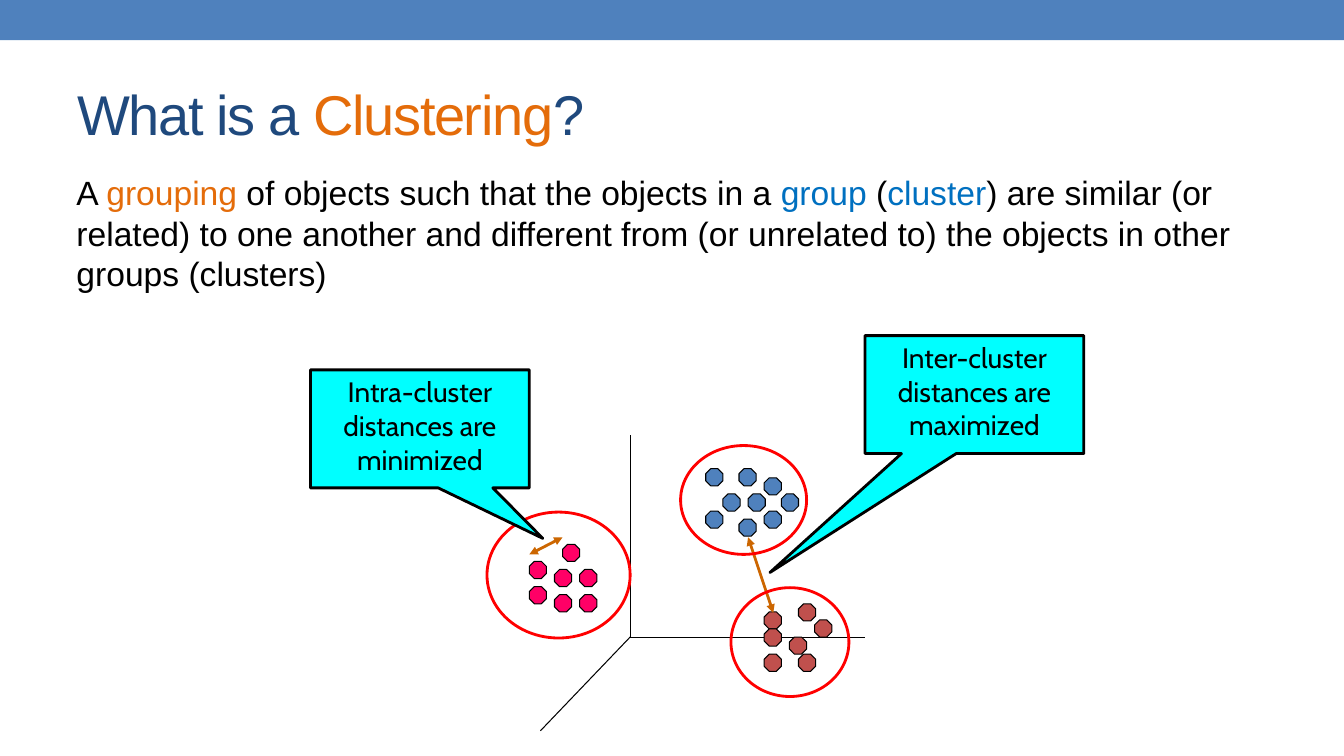
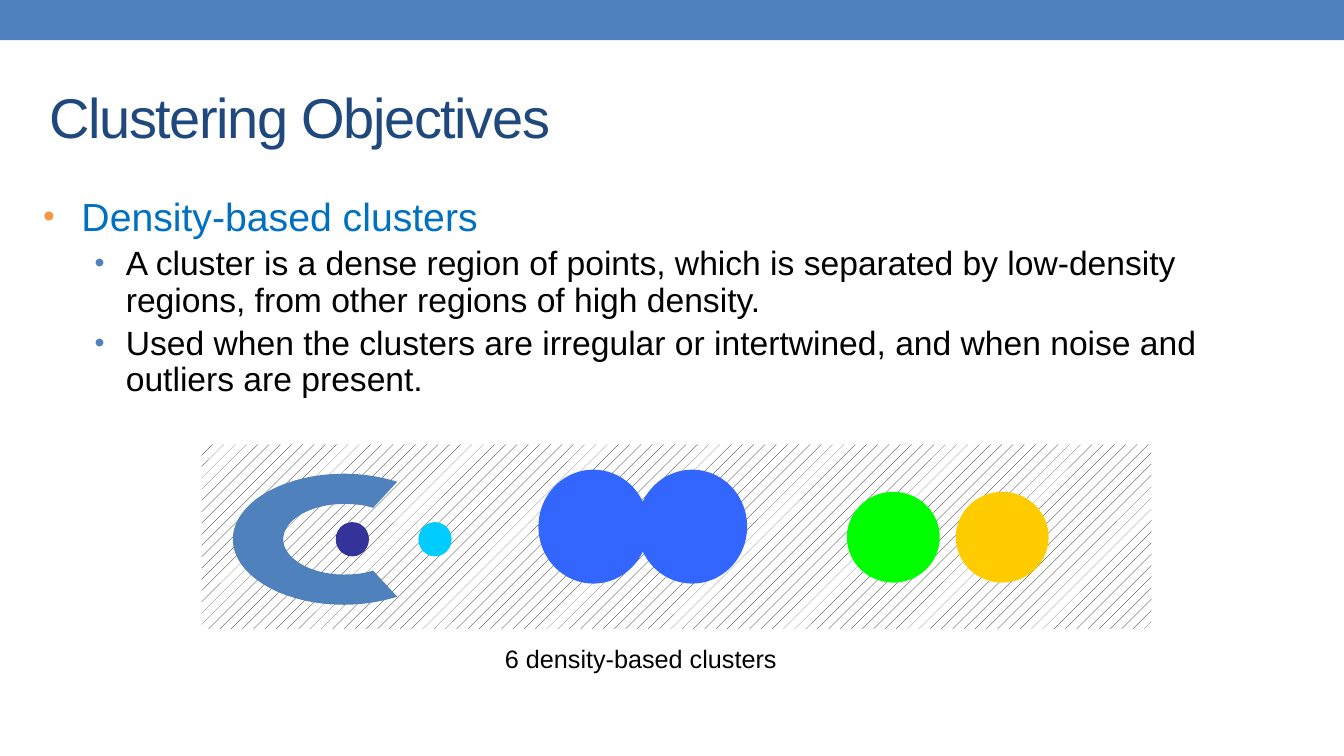
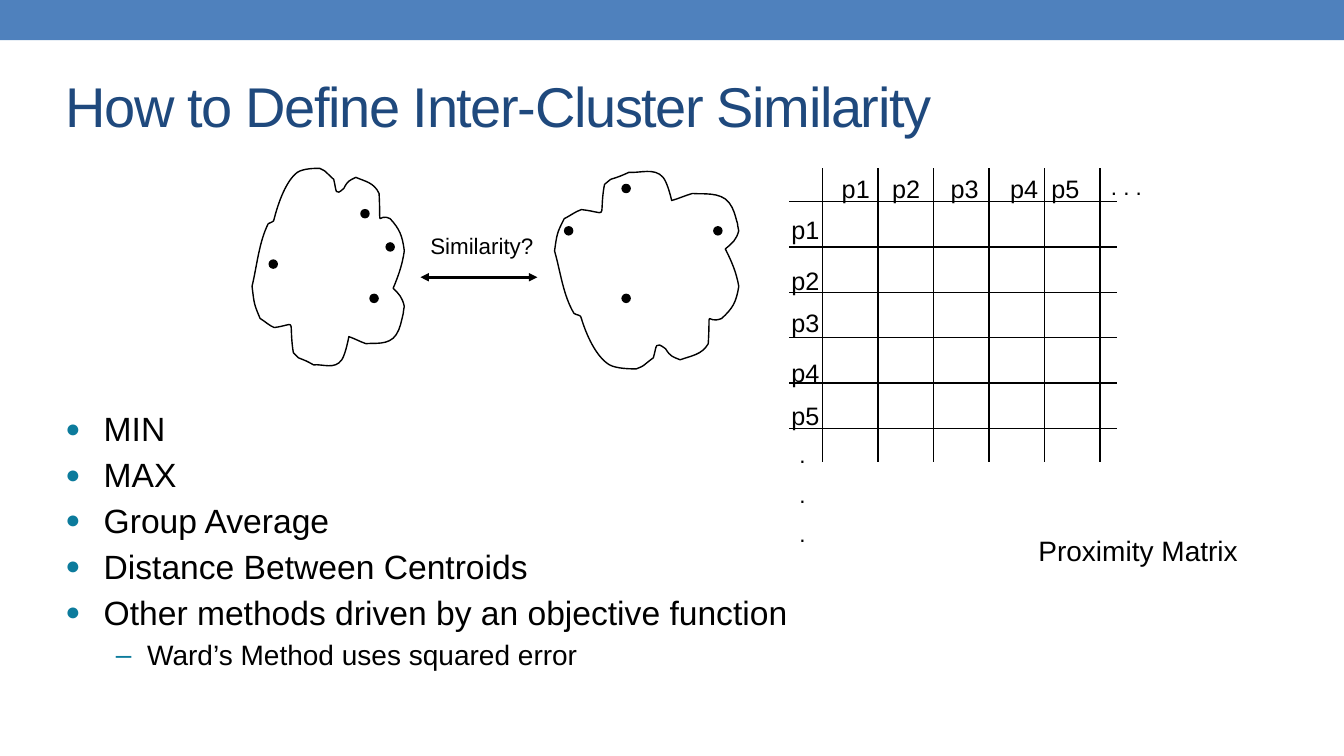
from lxml import etree
from pptx import Presentation
from pptx.dml.color import RGBColor
from pptx.enum import dml, shapes, text
from pptx.oxml.ns import qn
from pptx.util import Inches, Pt

BAND, NAVY, ORANGE, BLUE = "4F81BD", "1F497D", "E46C0A", "0070C0"
BLACK, RED, CYAN, BRICK, PINK = "000000", "FF0000", "00FFFF", "C0504D", "FF0066"
ARROW, TEAL, APRICOT = "CC6600", "0C7B9C", "F79646"
KIND = shapes.MSO_SHAPE

# Each outline is a list of steps: one point for a start or a straight line,
# three points (two controls and an end) for a curve.
CLUSTER = [
    [(2.66, 2.22)],
    [(2.57, 2.4), (2.55, 2.63), (2.5, 2.84)], [(2.52, 3.01), (2.52, 3.02), (2.58, 3.16)],
    [(2.63, 3.19), (2.67, 3.23), (2.72, 3.25)], [(2.94, 3.22), (2.87, 3.15), (2.9, 3.43)],
    [(2.9, 3.46), (2.91, 3.48), (2.91, 3.5)], [(2.98, 3.57), (2.94, 3.54), (3.01, 3.57)],
    [(3.04, 3.58), (3.11, 3.62), (3.11, 3.62)], [(3.2, 3.61), (3.32, 3.67), (3.39, 3.57)],
    [(3.43, 3.51), (3.46, 3.34), (3.46, 3.34)], [(3.52, 3.36), (3.57, 3.39), (3.63, 3.41)],
    [(3.71, 3.4), (3.86, 3.43), (3.93, 3.32)], [(3.97, 3.26), (3.98, 3.19), (4, 3.11)],
    [(4, 3.09), (4.01, 3.04), (4.01, 3.04)], [(3.99, 2.95), (3.96, 2.92), (3.9, 2.86)],
    [(3.95, 2.74), (3.99, 2.63), (4.01, 2.49)], [(3.99, 2.33), (3.96, 2.27), (3.87, 2.17)],
    [(3.73, 2.1), (3.78, 2.32), (3.76, 1.92)], [(3.71, 1.81), (3.62, 1.8), (3.53, 1.76)],
    [(3.47, 1.79), (3.45, 1.79), (3.41, 1.87)], [(3.32, 1.95), (3.34, 1.9), (3.31, 1.78)],
    [(3.2, 1.68), (3.25, 1.71), (3.17, 1.67)], [(3.13, 1.67), (3.01, 1.67), (2.95, 1.71)],
    [(2.84, 1.79), (2.76, 2.01), (2.72, 2.17)], [(2.72, 2.21), (2.68, 2.2), (2.66, 2.22)],
]
CRESCENT = [
    [(3.7, 5.66)],
    [(3.62, 5.69), (3.52, 5.7), (3.41, 5.7)], [(3.08, 5.7), (2.81, 5.54), (2.81, 5.35)],
    [(2.81, 5.16), (3.08, 5), (3.41, 5)], [(3.52, 5), (3.62, 5.01), (3.7, 5.04)],
    [(3.94, 4.78)],
    [(3.78, 4.73), (3.6, 4.7), (3.41, 4.7)], [(2.81, 4.7), (2.31, 4.99), (2.31, 5.35)],
    [(2.31, 5.71), (2.81, 6), (3.41, 6)], [(3.6, 6), (3.78, 5.97), (3.94, 5.92)],
]


def rgb(value):
    return RGBColor.from_string(value)


class Deck:
    def __init__(self):
        self.deck = Presentation()
        self.deck.slide_width, self.deck.slide_height = Inches(13.33), Inches(7.5)
        self.page = None

    def new_page(self, title, at):
        self.page = self.deck.slides.add_slide(self.deck.slide_layouts[6])
        self.shape(KIND.RECTANGLE, (0, 0, 13.33, 0.4), BAND)
        self.text(at, [title], size=40, color=NAVY, tracking=-100,
                  anchor=text.MSO_ANCHOR.MIDDLE)

    def paint(self, shape, fill, line, width):
        shape.shadow.inherit = False
        if fill:
            shape.fill.solid()
            shape.fill.fore_color.rgb = rgb(fill)
        else:
            shape.fill.background()
        if line:
            shape.line.color.rgb = rgb(line)
            shape.line.width = Pt(width)
        else:
            shape.line.fill.background()
        return shape

    def shape(self, kind, at, fill=None, line=None, width=0.75):
        shape = self.page.shapes.add_shape(kind, *map(Inches, at))
        return self.paint(shape, fill, line, width)

    def outline(self, steps, fill=None, line=None, width=1):
        """Draw a closed outline, then join each three-point step into one curve."""
        corners = [(Inches(x), Inches(y)) for step in steps for x, y in step]
        builder = self.page.shapes.build_freeform(*corners[0])
        builder.add_line_segments(corners[1:], close=True)
        shape = builder.convert_to_shape()
        segments = iter(list(shape._element.iter(qn("a:lnTo"))))
        for step in steps[1:]:
            parts = [next(segments) for _ in step]
            if len(parts) == 3:
                curve = etree.Element(qn("a:cubicBezTo"))
                parts[0].addprevious(curve)
                for part in parts:
                    curve.append(part[0])
                    part.getparent().remove(part)
        return self.paint(shape, fill, line, width)

    def line(self, start, end, color=BLACK, width=1, arrows=False):
        line = self.page.shapes.add_connector(
            shapes.MSO_CONNECTOR.STRAIGHT, *map(Inches, (*start, *end)))
        line.line.color.rgb = rgb(color)
        line.line.width = Pt(width)
        if arrows:
            for end_name in ("a:headEnd", "a:tailEnd"):
                etree.SubElement(line.line._get_or_add_ln(), qn(end_name), type="triangle")
        etree.SubElement(line._element.spPr, qn("a:effectLst"))

    def bullet(self, para, mark, color, percent, left, hang):
        props = para._p.get_or_add_pPr()
        props.set("marL", str(Inches(left)))
        props.set("indent", str(-Inches(hang)))
        tint = etree.SubElement(props, qn("a:buClr"))
        etree.SubElement(tint, qn("a:srgbClr"), val=color)
        etree.SubElement(props, qn("a:buSzPct"), val=str(percent * 1000))
        etree.SubElement(props, qn("a:buFont"), typeface="Arial")
        etree.SubElement(props, qn("a:buChar"), char=mark)

    def fill_text(self, frame, paras, size=18, color=BLACK, font="Arial", tracking=None,
                  anchor=text.MSO_ANCHOR.TOP, **layout):
        """Write paragraphs: each a string, a list of spans, or a dict of overrides."""
        frame.word_wrap = True
        frame.vertical_anchor = anchor
        for index, item in enumerate(paras):
            item = item if isinstance(item, dict) else {"spans": item}
            para = frame.paragraphs[0] if index == 0 else frame.add_paragraph()
            para.level = item.get("level", 0)
            if "bullet" in item:
                self.bullet(para, *item["bullet"])
            for name, value in layout.items():
                if index or name != "space_before":
                    setattr(para, name, value)
            spans = item["spans"]
            for span in [spans] if isinstance(spans, str) else spans:
                words, tint = (span, None) if isinstance(span, str) else span
                run = para.add_run()
                run.text = words
                run.font.name = font
                run.font.size = Pt(item.get("size", size))
                run.font.color.rgb = rgb(tint or item.get("color", color))
                if tracking:
                    run.font._element.set("spc", str(tracking))

    def text(self, at, paras, **style):
        box = self.page.shapes.add_textbox(*map(Inches, at))
        self.fill_text(box.text_frame, paras, **style)

    def callout(self, at, words, pointer):
        shape = self.shape(KIND.RECTANGULAR_CALLOUT, at, CYAN, BLACK, 2)
        for index, value in enumerate(pointer):
            shape.adjustments[index] = value
        self.fill_text(shape.text_frame, [words], size=20, font="Cabin",
                       alignment=text.PP_ALIGN.CENTER)

    def save(self):
        self.deck.save("out.pptx")


def clustering_page(deck):
    deck.new_page(["What is a ", ("Clustering", ORANGE), "?"], (0.67, 0.58, 12, 1.08))
    deck.text((0.66, 1.66, 12.08, 1.42), [[
        "A ", ("grouping", ORANGE), " of objects such that the objects in a ",
        ("group", BLUE), " (", ("cluster", BLUE),
        ") are similar (or related) to one another and different from "
        "(or unrelated to) the objects in other groups (clusters)"]], size=24)

    origin = (6.25, 6.32)
    for axis_end in ((6.25, 4.32), (8.58, 6.32), (5.36, 7.25)):
        deck.line(origin, axis_end, width=0.75)
    clusters = {
        BAND: [(7.17, 4.9), (7.42, 4.9), (7.33, 4.65), (7.33, 5.15), (7.75, 4.9),
               (7.58, 4.74), (7, 4.65), (7.58, 5.07), (7, 5.07)],
        PINK: [(5.25, 5.57), (5.5, 5.65), (5.5, 5.9), (5.75, 5.65), (5.58, 5.4),
               (5.75, 5.9), (5.25, 5.82)],
        BRICK: [(7.58, 6.07), (8.08, 6.15), (7.83, 6.32), (7.58, 6.49), (7.92, 6.49),
                (7.58, 6.24), (7.92, 5.99)],
    }
    for color, places in clusters.items():
        for place in places:
            deck.shape(KIND.OCTAGON, (*place, 0.17, 0.17), color, BLACK)

    deck.line((7.67, 6.08), (7.42, 5.33), ARROW, 2, arrows=True)
    deck.callout((8.58, 3.33, 2.17, 1.17), "Inter-cluster distances are maximized",
                 (-0.935, 1.509))
    for ring in ((4.83, 5.08, 1.42, 1.25), (6.75, 4.42, 1.25, 1.08),
                 (7.25, 5.83, 1.17, 1.08)):
        deck.shape(KIND.OVAL, ring, None, RED, 2)
    deck.line((5.25, 5.5), (5.58, 5.33), ARROW, 2, arrows=True)
    deck.callout((3.08, 3.67, 2.17, 1.17), "Intra-cluster distances are minimized",
                 (0.562, 0.929))


def objectives_page(deck):
    deck.new_page("Clustering Objectives", (0.39, 0.49, 9.06, 1.33))
    detail = {"level": 1, "bullet": ("•", BAND, 85, 0.82, 0.31)}
    deck.text((0.33, 1.91, 12.25, 5.35), [
        {"spans": "Density-based clusters", "size": 28, "color": BLUE,
         "bullet": ("•", APRICOT, 85, 0.38, 0.38)},
        {"spans": "A cluster is a dense region of points, which is separated by "
                  "low-density regions, from other regions of high density.", **detail},
        {"spans": "Used when the clusters are irregular or intertwined, and when "
                  "noise and outliers are present.", **detail},
    ], size=24, line_spacing=0.9, space_before=Pt(5))

    noise = deck.shape(KIND.RECTANGLE, (2, 4.41, 9.42, 1.83))
    noise.fill.patterned()
    noise.fill.pattern = dml.MSO_PATTERN.PERCENT_10
    noise.fill.fore_color.rgb = rgb(BLACK)
    noise.fill.back_color.rgb = rgb("FFFFFF")

    deck.outline(CRESCENT, BAND)
    small, medium, large = (0.33, 0.34), (0.92, 0.9), (1.09, 1.13)
    for left, top, size, color in (
            (3.33, 5.18, small, "333399"), (4.15, 5.18, small, "00CCFF"),
            (8.4, 4.88, medium, "00FF00"), (9.48, 4.88, medium, "FFCC00"),
            (5.34, 4.66, large, "3366FF"), (6.32, 4.66, large, "3366FF")):
        deck.shape(KIND.OVAL, (left, top, *size), color)
    deck.text((4.91, 6.33, 3.5, 0.4), ["6 density-based clusters"])


def similarity_page(deck):
    deck.new_page("How to Define Inter-Cluster Similarity", (0.55, 0.46, 9.06, 1.17))

    for index in range(6):
        x, y = 8.16 + 0.55 * index, 2 + 0.45 * index
        deck.line((x, 1.67), (x, 4.58))
        deck.line((7.83, y), (11.08, y))
    row_tops = (2.08, 2.58, 3, 3.5, 3.92)
    column_lefts = (8.25, 8.75, 9.33, 9.92, 10.33)
    for number, (top, left) in enumerate(zip(row_tops, column_lefts), 1):
        deck.text((7.75, top, 0.58, 0.4), [f"p{number}"])
        deck.text((left, 1.67, 0.58, 0.4), [f"p{number}"])
    deck.text((10.92, 1.67, 0.58, 0.37), [". . ."], size=16)
    deck.text((7.83, 4.33, 0.58, 1.17), ["."] * 3, size=16, space_before=Pt(9))
    deck.text((10.2, 5.24, 2.75, 0.43), ["Proximity Matrix"], size=20)

    mirrored = [[(5.5 + (x - 2.5) * 1.21, 5.33 - y) for x, y in step] for step in CLUSTER]
    for cluster in (CLUSTER, mirrored):
        deck.outline(cluster, line=BLACK)
    for point in ((3.67, 2.92), (3.58, 2.08), (2.67, 2.58), (3.83, 2.41),
                  (7.08, 2.25), (5.6, 2.25), (6.17, 2.92), (6.17, 1.83)):
        deck.shape(KIND.OVAL, (*point, 0.08, 0.08), BLACK, BLACK, 1)
    deck.line((4.17, 2.75), (5.33, 2.75), width=2, arrows=True)
    deck.text((4.17, 2.25, 1.58, 0.37), ["Similarity?"], size=16)

    methods = ["MIN", "MAX", "Group Average", "Distance Between Centroids",
               "Other methods driven by an objective function"]
    deck.text((0.55, 4, 7.99, 3.42), [
        *({"spans": method, "bullet": ("●", TEAL, 75, 0.38, 0.38)} for method in methods),
        {"spans": "Ward’s Method uses squared error", "size": 20, "level": 1,
         "bullet": ("–", TEAL, 100, 0.81, 0.31)},
    ], size=24, space_before=Pt(2), space_after=Pt(2))


def main():
    deck = Deck()
    clustering_page(deck)
    objectives_page(deck)
    similarity_page(deck)
    deck.save()


if __name__ == "__main__":
    main()
